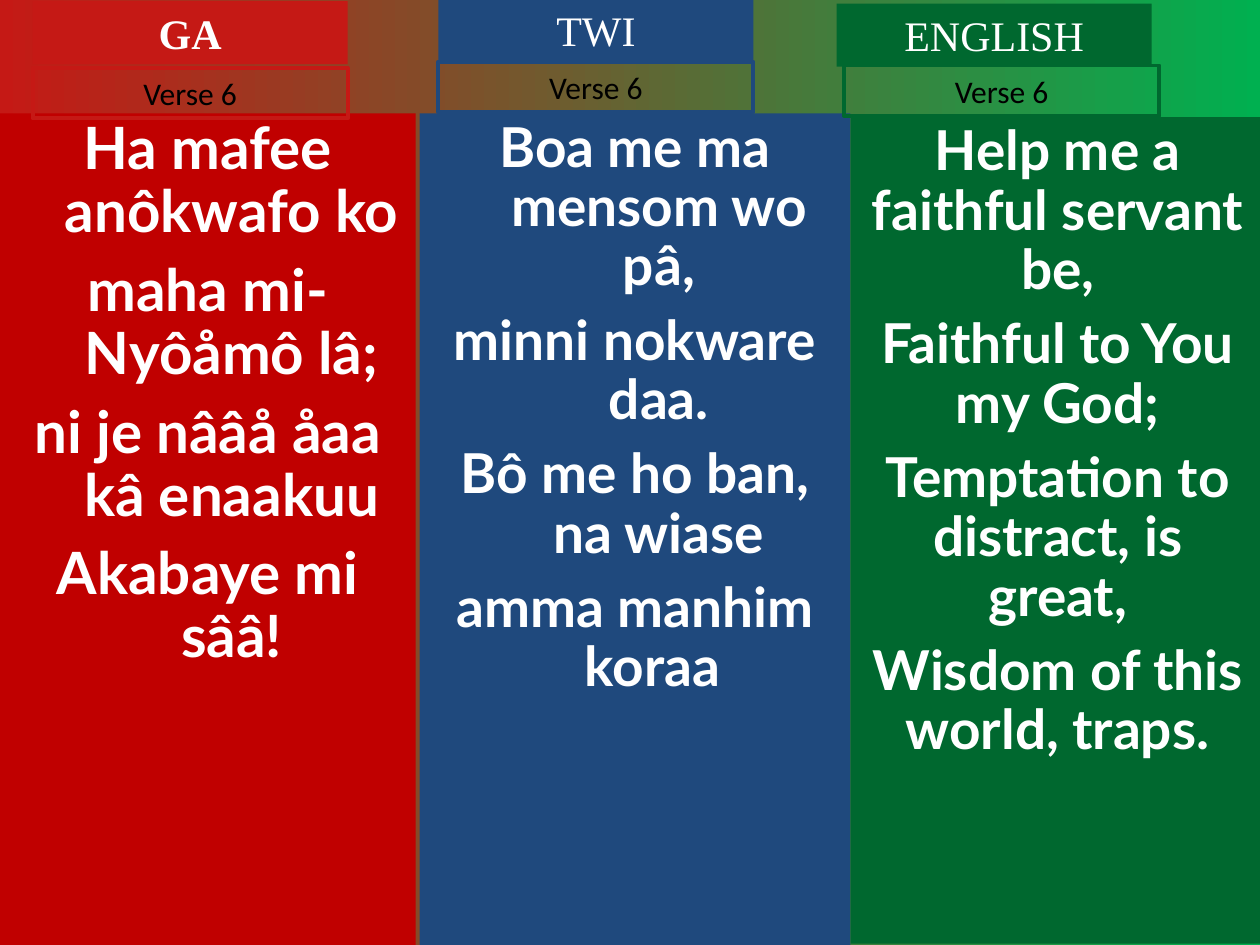
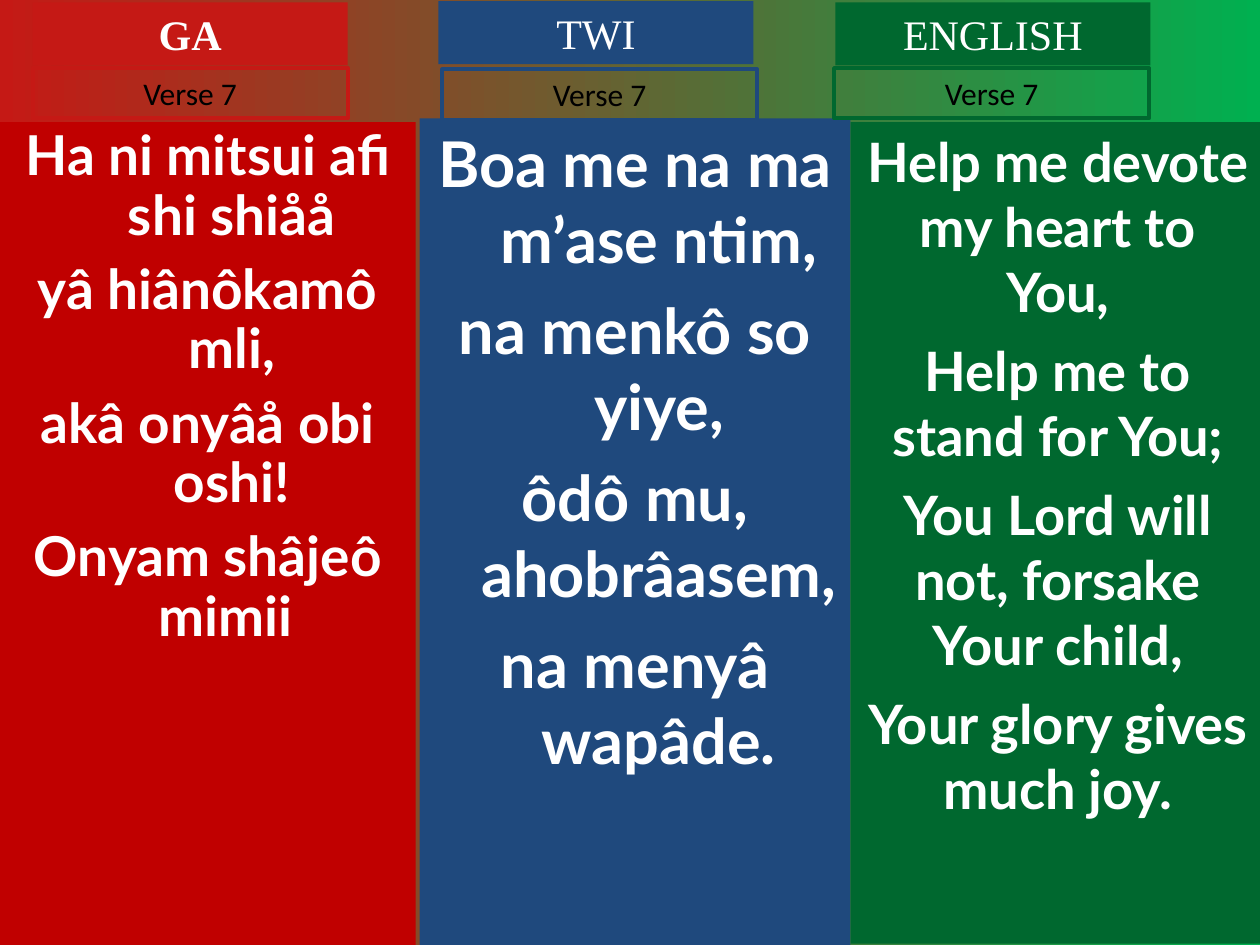
from dataclasses import dataclass

from pptx import Presentation
from pptx.dml.color import RGBColor
from pptx.enum import shapes, text
from pptx.util import Inches, Pt

COLORS = {
    "ga": "C51915", "ga_panel": "C00000", "twi": "1F497D", "english": "00682F",
    "page_end": "00B050", "white": "FFFFFF", "black": "000000",
}
PAGE_WIDTH, PAGE_HEIGHT = 10, 7.5
TAG_WIDTH, TAG_HEIGHT, LABEL_HEIGHT = 2.5, 0.5, 0.4
HANGING = 0.38


@dataclass
class Language:
    name: str
    left: float
    width: float
    bottom: float
    tag_color: str
    panel_color: str
    bold_tag: bool = False
    hanging: float = 0


@dataclass
class Stanza:
    """One language's lines; tag and label are (left, top), left from the column edge."""
    lines: list
    top: float
    tag: tuple
    label: tuple
    size: float
    gap: float
    spacing: float = 0.9


LANGUAGES = [
    Language("GA", 0, 3.3, PAGE_HEIGHT, "ga", "ga_panel", True, HANGING),
    Language("TWI", 3.33, 3.42, PAGE_HEIGHT, "twi", "twi", hanging=HANGING),
    Language("ENGLISH", 6.75, 3.29, 7.49, "english", "english"),
]

VERSES = {
    "Verse 6": [
        Stanza(["Ha mafee anôkwafo ko", "maha mi-Nyôåmô lâ;",
                "ni je nââå åaa kâ enaakuu", "Akabaye mi sââ!"],
               0.9, (0.26, 0.01), (0.26, 0.54), 33.3, 9),
        Stanza(["Boa me ma mensom wo pâ,", "minni nokware daa.",
                "Bô me ho ban, na wiase", "amma manhim koraa "],
               0.9, (0.15, -0.01), (0.15, 0.49), 31.4, 8.5),
        Stanza(["Help me a faithful servant be,", "Faithful to You my God;",
                "Temptation to distract, is great,", "Wisdom of this world, traps."],
               0.93, (-0.11, 0.03), (-0.05, 0.52), 31.4, 8.5),
    ],
    "Verse 7": [
        Stanza(["Ha ni mitsui afi shi shiåå", "yâ hiânôkamô mli,",
                "akâ onyâå obi oshi!", "Onyam shâjeô mimii "],
               0.97, (0.26, 0.02), (0.26, 0.54), 31.4, 8.5),
        Stanza(["Boa me na ma m’ase ntim,", "na menkô so yiye,",
                "ôdô mu, ahobrâasem,", "na menyâ wapâde."],
               0.94, (0.15, 0.01), (0.18, 0.55), 36, 9, 1),
        Stanza(["Help me devote my heart to You,", "Help me to stand for You;",
                "You Lord will not, forsake Your child,", "Your glory gives much joy."],
               0.97, (-0.12, 0.02), (-0.13, 0.54), 31, 7.7, 1),
    ],
}


def rgb(name):
    return RGBColor.from_string(COLORS[name])


def add_box(page, left, top, width, height, fill=None, line=None, grow=False):
    box = page.shapes.add_shape(shapes.MSO_SHAPE.RECTANGLE, Inches(left), Inches(top),
                                Inches(width), Inches(height))
    box.shadow.inherit = False
    if fill:
        box.fill.solid()
        box.fill.fore_color.rgb = rgb(fill)
    else:
        box.fill.background()
    if line:
        box.line.color.rgb = rgb(line)
        box.line.width = Pt(2.25)
    else:
        box.line.fill.background()
    frame = box.text_frame
    frame.word_wrap = True
    frame.vertical_anchor = text.MSO_ANCHOR.TOP
    frame.margin_left = frame.margin_right = Inches(0.1)
    frame.margin_top = frame.margin_bottom = Inches(0.05)
    if grow:
        frame.auto_size = text.MSO_AUTO_SIZE.SHAPE_TO_FIT_TEXT
    return box


def write(para, words, size, font, color, bold=False):
    para.alignment = text.PP_ALIGN.CENTER
    span = para.add_run()
    span.text = words
    span.font.size = Pt(size)
    span.font.name = font
    span.font.bold = bold
    span.font.color.rgb = rgb(color)


def hang(para, indent):
    properties = para._p.get_or_add_pPr()
    properties.set("marL", str(Inches(indent)))
    properties.set("indent", str(-Inches(indent)))


def add_panel(page, language, stanza):
    box = add_box(page, language.left, stanza.top, language.width,
                  language.bottom - stanza.top, fill=language.panel_color)
    frame = box.text_frame
    for index, line in enumerate(stanza.lines):
        para = frame.add_paragraph() if index else frame.paragraphs[0]
        if language.hanging:
            hang(para, language.hanging)
        para.line_spacing = stanza.spacing
        para.space_before = Pt(stanza.gap if index else 0)
        write(para, line, stanza.size, "Lato", "white", bold=True)


def add_column(page, language, stanza, verse):
    add_panel(page, language, stanza)
    left, top = stanza.tag
    tag = add_box(page, language.left + left, top, TAG_WIDTH, TAG_HEIGHT,
                  fill=language.tag_color, grow=True)
    write(tag.text_frame.paragraphs[0], language.name, 24, "Times New Roman",
          "white", language.bold_tag)
    left, top = stanza.label
    label = add_box(page, language.left + left, top, TAG_WIDTH, LABEL_HEIGHT,
                    line=language.tag_color, grow=True)
    write(label.text_frame.paragraphs[0], verse, 18, "Calibri", "black")


def paint_background(page):
    fill = page.background.fill
    fill.gradient()
    fill.gradient_angle = 0
    for stop, position, color in zip(fill.gradient_stops, (0, 1), ("ga", "page_end")):
        stop.position = position
        stop.color.rgb = rgb(color)


def add_verse_page(deck, verse, stanzas):
    page = deck.slides.add_slide(deck.slide_layouts[6])
    paint_background(page)
    for language, stanza in zip(LANGUAGES, stanzas):
        add_column(page, language, stanza, verse)


def main():
    deck = Presentation()
    deck.slide_width = Inches(PAGE_WIDTH)
    deck.slide_height = Inches(PAGE_HEIGHT)
    for verse, stanzas in VERSES.items():
        add_verse_page(deck, verse, stanzas)
    deck.save("out.pptx")


if __name__ == "__main__":
    main()
